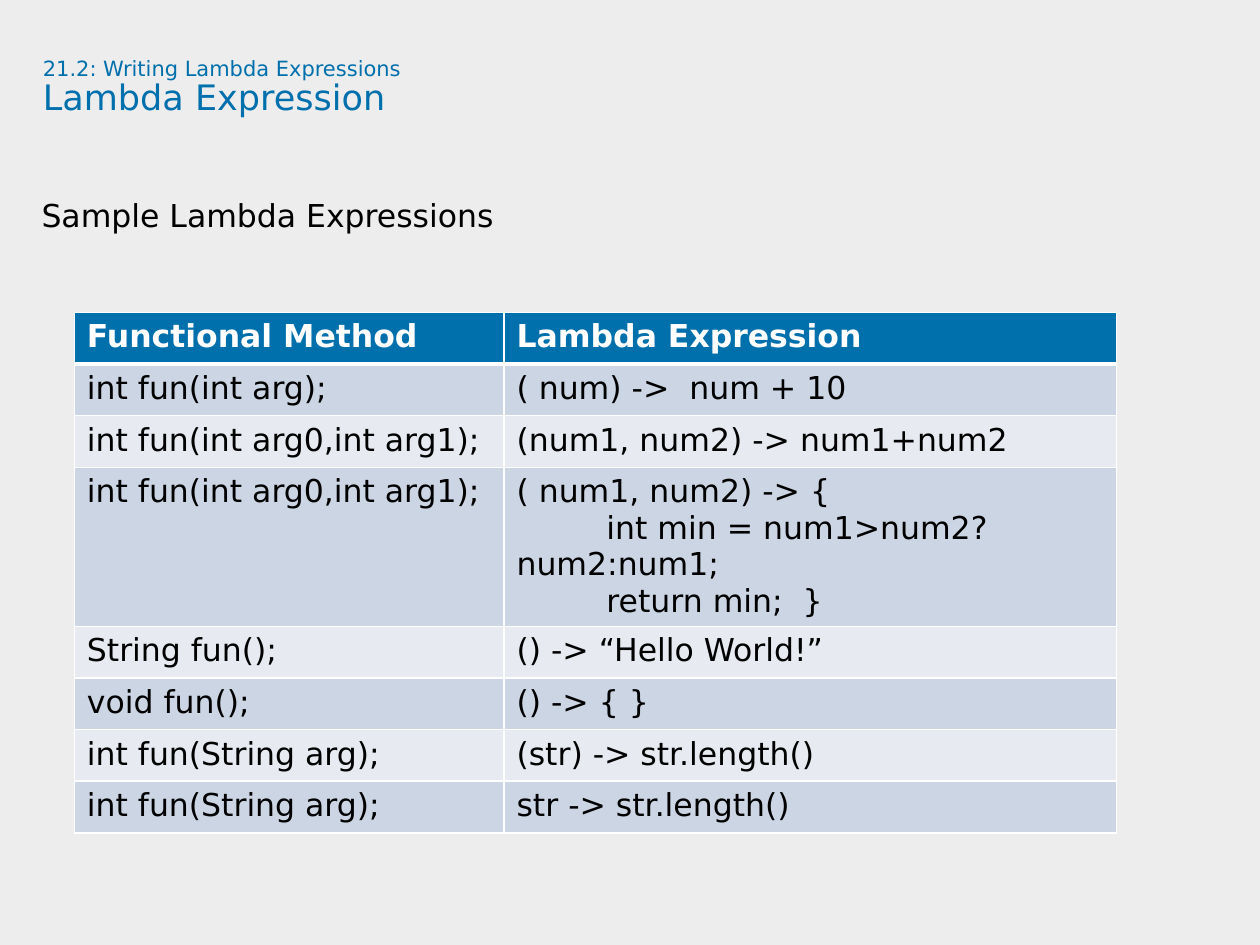
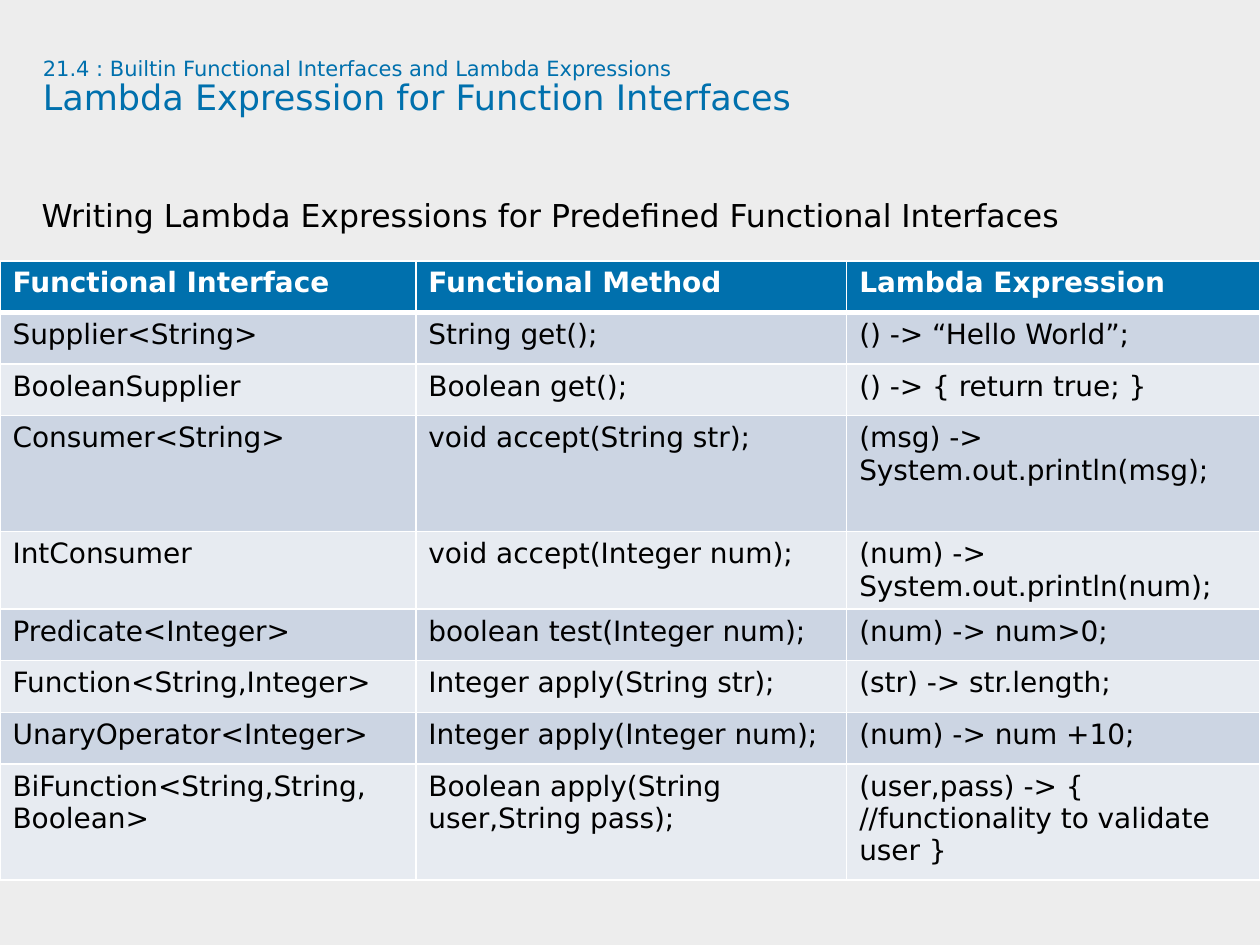
"""Builds two slides of lambda expression tables."""
from copy import deepcopy

from lxml import etree
from pptx import Presentation
from pptx.dml.color import RGBColor
from pptx.enum.text import MSO_ANCHOR, MSO_AUTO_SIZE, PP_ALIGN
from pptx.oxml.ns import qn
from pptx.util import Inches, Pt

TOP = MSO_ANCHOR.TOP
LEFT = PP_ALIGN.LEFT
NO_FIT = MSO_AUTO_SIZE.NONE
TITLE_ONLY = 5

FONT = "DejaVu Sans"
BLUE = RGBColor(0x00, 0x70, 0xAD)
BLACK = RGBColor(0x00, 0x00, 0x00)
WHITE = RGBColor(0xFF, 0xFF, 0xFF)
GREY = RGBColor(0xED, 0xED, 0xED)
BANDS = (RGBColor(0xE7, 0xEB, 0xF1), RGBColor(0xCC, 0xD5, 0xE3))

ROW = 0.41
TALL_ROW = 0.92

METHODS = [
    ("Functional Method", "Lambda Expression"),
    ("int fun(int arg);", "( num) ->  num + 10"),
    ("int fun(int arg0,int arg1);", "(num1, num2) -> num1+num2"),
    ("int fun(int arg0,int arg1);",
     "( num1, num2) -> {\n"
     "         int min = num1>num2?num2:num1;\n"
     "         return min;  }"),
    ("String fun();", "() -> “Hello World!”"),
    ("void fun();", "() -> { }"),
    ("int fun(String arg);", "(str) -> str.length()"),
    ("int fun(String arg);", "str -> str.length()"),
]

INTERFACES = [
    ("Functional Interface", "Functional Method", "Lambda Expression"),
    ("Supplier<String>", "String get();", "() -> “Hello World”;"),
    ("BooleanSupplier", "Boolean get();", "() -> { return true; }"),
    ("Consumer<String>", "void accept(String str);",
     "(msg) -> System.out.println(msg);"),
    ("IntConsumer", "void accept(Integer num);",
     "(num) -> System.out.println(num);"),
    ("Predicate<Integer>", "boolean test(Integer num);", "(num) -> num>0;"),
    ("Function<String,Integer>", "Integer apply(String str);",
     "(str) -> str.length;"),
    ("UnaryOperator<Integer>", "Integer apply(Integer num);",
     "(num) -> num +10;"),
    ("BiFunction<String,String, Boolean>",
     "Boolean apply(String user,String pass);",
     "(user,pass) -> { //functionality to validate user }"),
]


def add_run(p, text, size, color, bold=False):
    """Add one formatted run to a paragraph."""
    r = p.add_run()
    r.text = text
    r.font.name = FONT
    r.font.size = Pt(size)
    r.font.bold = bold
    r.font.color.rgb = color
    return r


def setup_frame(tf):
    """Make a text frame wrap, start at the top and have no insets."""
    tf.word_wrap = True
    tf.auto_size = NO_FIT
    tf.vertical_anchor = TOP
    tf.margin_left = tf.margin_right = tf.margin_top = tf.margin_bottom = 0


def set_title(s, section, title):
    """Fill the title with a small section line above the slide title."""
    sp = s.shapes.title
    sp.left, sp.top = Inches(0.34), Inches(0.46)
    sp.width, sp.height = Inches(9.09), Inches(0.94)
    setup_frame(sp.text_frame)
    p = sp.text_frame.paragraphs[0]
    p.alignment = LEFT
    p.line_spacing = 0.9
    r = add_run(p, section, 12, BLUE)
    p.add_line_break()
    p._p[-1].append(deepcopy(r._r.rPr))
    add_run(p, title, 20, BLUE)


def add_lead(s, text):
    """Add the lead line below the title."""
    sp = s.shapes.add_textbox(Inches(0.33), Inches(1.63), Inches(9.67), Inches(0.4))
    setup_frame(sp.text_frame)
    p = sp.text_frame.paragraphs[0]
    p.line_spacing = Pt(16.5)
    p.space_after = Pt(4.5)
    add_run(p, text, 18, BLACK)


def set_borders(cell, bottom):
    """Draw white borders, the lower one with its own width in points."""
    tc_pr = cell._tc.get_or_add_tcPr()
    for i, (side, width) in enumerate(zip("LRTB", (1, 1, 1, bottom))):
        ln = etree.Element(qn(f"a:ln{side}"), w=str(Pt(width)))
        fill = etree.SubElement(ln, qn("a:solidFill"))
        etree.SubElement(fill, qn("a:srgbClr"), val=str(WHITE))
        tc_pr.insert(i, ln)


def fill_cell(cell, text, row, size):
    """Write and format one cell according to its row number."""
    header = row == 0
    cell.fill.solid()
    cell.fill.fore_color.rgb = BLUE if header else BANDS[row % 2]
    set_borders(cell, 3 if header else 1)
    tf = cell.text_frame
    for i, line in enumerate(text.split("\n")):
        p = tf.add_paragraph() if i else tf.paragraphs[0]
        add_run(p, line, size, WHITE if header else BLACK, header)


def add_grid(s, rows, left, top, widths, size, tall=()):
    """Add a banded table, with the rows listed in tall made higher."""
    heights = [TALL_ROW if i in tall else ROW for i in range(len(rows))]
    table = s.shapes.add_table(
        len(rows), len(widths), Inches(left), Inches(top),
        Inches(sum(widths)), Inches(sum(heights))).table
    for col, width in zip(table.columns, widths):
        col.width = Inches(width)
    for i, texts in enumerate(rows):
        table.rows[i].height = Inches(heights[i])
        for j, text in enumerate(texts):
            fill_cell(table.cell(i, j), text, i, size)


def add_slide(prs, section, title, lead):
    """Add a slide with its title and lead line."""
    s = prs.slides.add_slide(prs.slide_layouts[TITLE_ONLY])
    set_title(s, section, title)
    add_lead(s, lead)
    return s


def main():
    """Build and save the presentation."""
    prs = Presentation()
    prs.slide_width, prs.slide_height = Inches(10), Inches(7.5)
    background = prs.slide_master.background.fill
    background.solid()
    background.fore_color.rgb = GREY

    s = add_slide(prs, "21.2: Writing Lambda Expressions", "Lambda Expression",
                  "Sample Lambda Expressions")
    add_grid(s, METHODS, 0.59, 2.48, (3.41, 4.86), 18)

    s = add_slide(prs, "21.4 : Builtin Functional Interfaces and Lambda Expressions",
                  "Lambda Expression for Function Interfaces",
                  "Writing Lambda Expressions for Predefined Functional Interfaces")
    add_grid(s, INTERFACES, 0, 2.07, (3.3, 3.42, 3.28), 16, tall=(3, 8))

    prs.save("out.pptx")


if __name__ == "__main__":
    main()
